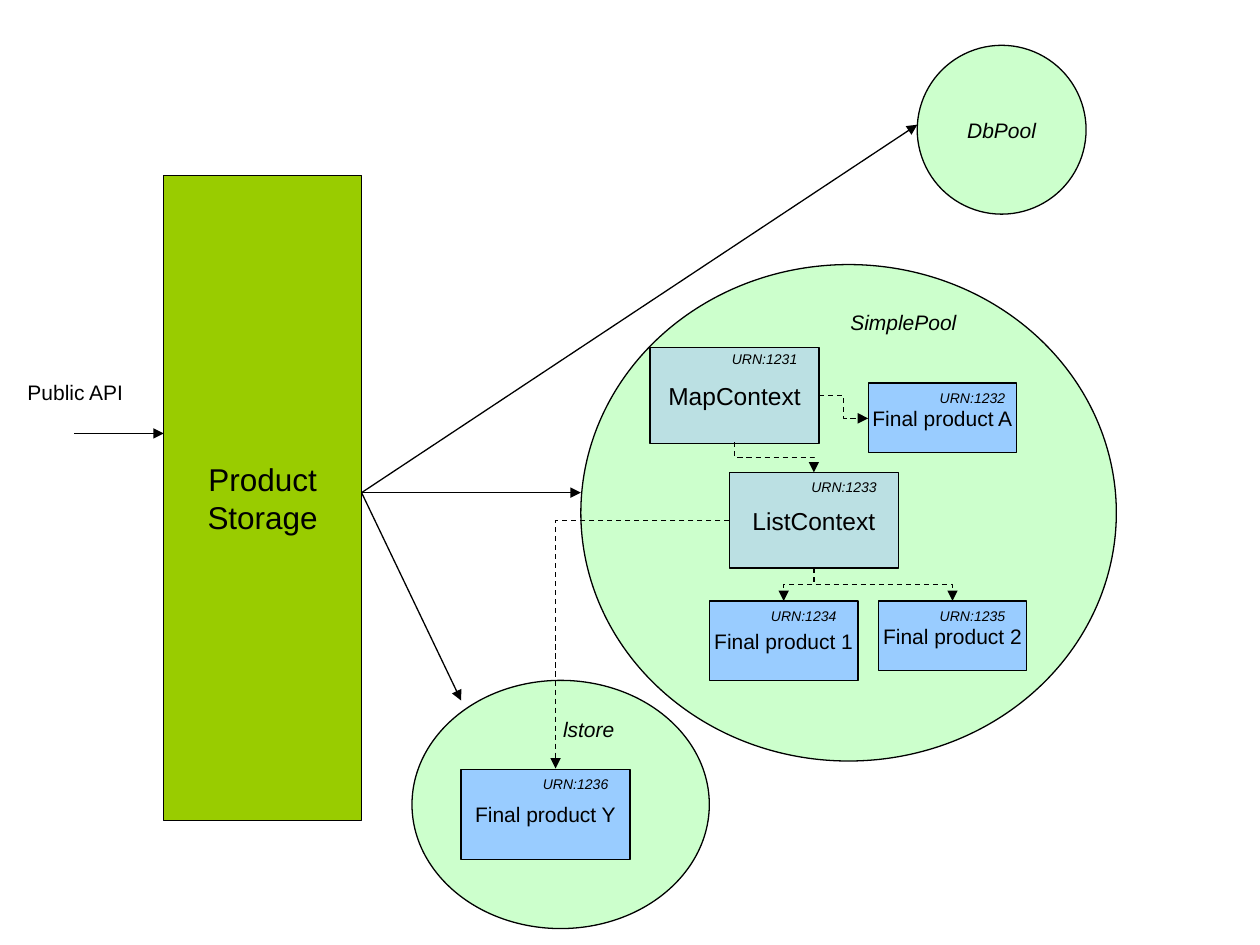
from lxml import etree
from pptx import Presentation
from pptx.dml.color import RGBColor
from pptx.enum.dml import MSO_LINE
from pptx.enum.shapes import MSO_CONNECTOR, MSO_SHAPE
from pptx.enum.text import MSO_ANCHOR, PP_ALIGN
from pptx.oxml.ns import qn
from pptx.util import Pt

PX = 9144
RECT, OVAL = MSO_SHAPE.RECTANGLE, MSO_SHAPE.OVAL
LINE, ELBOW = MSO_CONNECTOR.STRAIGHT, MSO_CONNECTOR.ELBOW
DASH = MSO_LINE.DASH
MIDDLE, TOP = MSO_ANCHOR.MIDDLE, MSO_ANCHOR.TOP
LEFT, CENTER = PP_ALIGN.LEFT, PP_ALIGN.CENTER
COLORS = {
    "ink": "000000",
    "store": "99CC00",
    "pool": "CCFFCC",
    "context": "BBE0E3",
    "product": "99CCFF",
}


def color(name):
    return RGBColor.from_string(COLORS[name])


def emu(*nums):
    return [round(n * PX) for n in nums]


def write(frame, text, size=12, italic=False, align=LEFT, anchor=TOP, wrap=True, before=0):
    frame.word_wrap = wrap
    frame.vertical_anchor = anchor
    for i, part in enumerate(text.split("\n")):
        para = frame.paragraphs[0] if i == 0 else frame.add_paragraph()
        para.alignment = align
        para.space_before = Pt(before)
        run = para.add_run()
        run.text = part
        run.font.name = "Arial"
        run.font.size = Pt(size)
        run.font.italic = italic
        run.font.color.rgb = color("ink")


def label(slide, text, box, **style):
    write(slide.shapes.add_textbox(*emu(*box)).text_frame, text, **style)


def block(slide, kind, box, fill, text="", **style):
    shape = slide.shapes.add_shape(kind, *emu(*box))
    shape.shadow.inherit = False
    shape.fill.solid()
    shape.fill.fore_color.rgb = color(fill)
    shape.line.color.rgb = color("ink")
    shape.line.width = Pt(0.75)
    if text:
        write(shape.text_frame, text, align=CENTER, anchor=MIDDLE, wrap=False, **style)


def arrow(slide, start, end, kind=LINE, dash=False):
    link = slide.shapes.add_connector(kind, *emu(*start, *end))
    link.line.color.rgb = color("ink")
    link.line.width = Pt(0.75)
    if dash:
        link.line.dash_style = DASH
    props = link._element.spPr
    etree.SubElement(props.find(qn("a:ln")), qn("a:tailEnd"), type="triangle")
    etree.SubElement(props, qn("a:effectLst"))
    return props


def across(slide, start, end):
    return arrow(slide, start, end, ELBOW, True)


def down(slide, start, end):
    (x1, y1), (x2, y2) = start, end
    mid_x, mid_y = (x1 + x2) / 2, (y1 + y2) / 2
    dx, dy = (x2 - x1) / 2, (y2 - y1) / 2
    props = across(slide, (mid_x - dy, mid_y + dx), (mid_x + dy, mid_y - dx))
    props.find(qn("a:xfrm")).set("rot", "5400000")


def corner(slide, start, end):
    props = across(slide, start, end)
    props.find(qn("a:prstGeom")).set("prst", "bentConnector2")


def item(slide, box, fill, text, urn, size=12, right=0, rise=0):
    x, y, w, h = box
    block(slide, RECT, box, fill, text, size=size)
    label(slide, urn, (x + w - 79 + right, y - rise, 79, 24), size=8, italic=True, before=5)


def simple(slide, box):
    x, y, w, h = box
    block(slide, OVAL, box, "pool")
    label(slide, "SimplePool", (x + 204, y + 31, 118, 30), italic=True, before=7.5)
    item(slide, (x + 55, y + 66, 134, 76), "context", "MapContext", "URN:1231", 14, rise=3)
    item(slide, (x + 118, y + 165, 134, 76), "context", "ListContext", "URN:1233", 14)
    item(slide, (x + 228, y + 94, 118, 55), "product", "Final product A", "URN:1232", right=8)
    item(slide, (x + 102, y + 267, 118, 63), "product", "Final product 1", "URN:1234")
    item(slide, (x + 236, y + 267, 118, 55), "product", "Final product 2", "URN:1235")
    across(slide, (x + 189, y + 104), (x + 228, y + 122))
    down(slide, (x + 122, y + 141), (x + 185, y + 165))
    for end in (161, 295):
        down(slide, (x + 185, y + 241), (x + end, y + 267))


def local(slide, box):
    x, y, w, h = box
    block(slide, OVAL, box, "pool")
    label(slide, "lstore", (x + 110, y + 24, 71, 30), italic=True, before=7.5)
    item(slide, (x + 39, y + 71, 134, 71), "product", "Final product Y", "URN:1236")


def store(slide, box, ends):
    x, y, w, h = box
    for end in ends:
        arrow(slide, (x + w, y + 252), end)
    block(slide, RECT, box, "store", "Product\nStorage", size=18)
    arrow(slide, (x - 71, y + 205), (x, y + 205))
    label(slide, "Public API", (x - 118, y + 157, 110, 30), before=7.5)


def main():
    deck = Presentation()
    deck.slide_width, deck.slide_height = emu(1000, 750)
    slide = deck.slides.add_slide(deck.slide_layouts[6])
    store(slide, (130, 139, 157, 512), [(366, 556), (728, 99), (461, 391)])
    block(slide, OVAL, (728, 36, 134, 134), "pool", "DbPool", italic=True)
    simple(slide, (461, 210, 425, 394))
    local(slide, (327, 540, 236, 197))
    corner(slide, (579, 413), (441, 610))
    deck.save("out.pptx")


if __name__ == "__main__":
    main()
